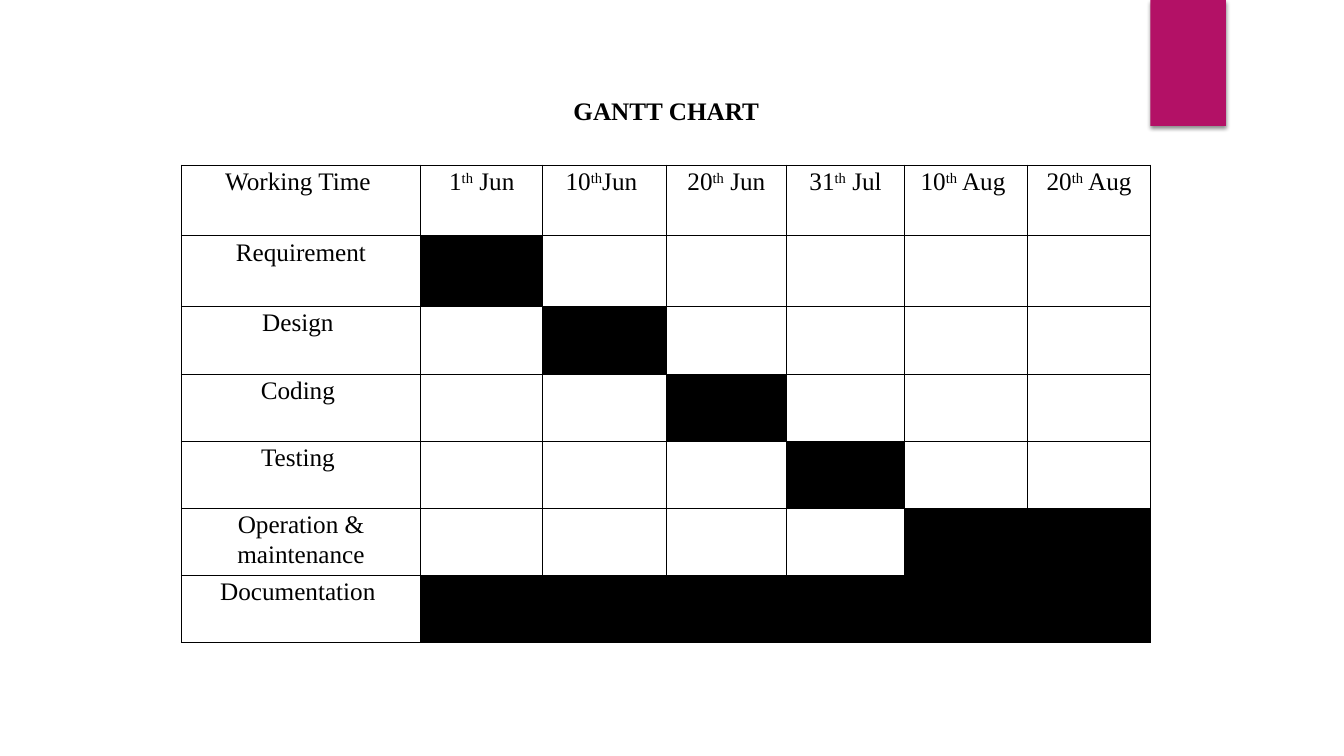
from lxml import etree
from pptx import Presentation
from pptx.dml.color import RGBColor
from pptx.enum.shapes import MSO_SHAPE
from pptx.enum.text import PP_ALIGN
from pptx.oxml.ns import qn
from pptx.util import Pt

RECTANGLE = MSO_SHAPE.RECTANGLE
CENTER = PP_ALIGN.CENTER

BLACK = RGBColor(0x00, 0x00, 0x00)
WHITE = RGBColor(0xFF, 0xFF, 0xFF)
MAGENTA = RGBColor(0xB3, 0x11, 0x66)

FONT = "Times New Roman"
FONT_SIZE = Pt(18)

COLUMN_WIDTHS = [170.9, 87.3, 88.2, 85.9, 84.4, 87.8, 87.8]
ROW_HEIGHTS = [50.4, 50.2, 48.6, 47.9, 47.9, 47.9, 47.9]

# Day and month of each date column
DATES = [("1", " Jun"), ("10", "Jun "), ("20", " Jun"),
         ("31", " Jul"), ("10", " Aug "), ("20", " Aug")]

# Phase with its first and last busy date column
PHASES = [
    ("Requirement", 1, 1),
    ("Design ", 2, 2),
    ("Coding ", 3, 3),
    ("Testing ", 4, 4),
    ("Operation & maintenance", 5, 6),
    ("Documentation ", 1, 6),
]


def add_ribbon(slide):
    ribbon = slide.shapes.add_shape(RECTANGLE, Pt(821.7), 0, Pt(54), Pt(90))
    ribbon.fill.solid()
    ribbon.fill.fore_color.rgb = MAGENTA
    ribbon.line.fill.background()
    ribbon.shadow.inherit = False
    effects = ribbon._element.spPr.find(qn("a:effectLst"))
    shadow = etree.SubElement(effects, qn("a:outerShdw"), blurRad=str(Pt(3)),
                              dist=str(Pt(2)), dir="5400000", rotWithShape="0")
    color = etree.SubElement(shadow, qn("a:srgbClr"), val=str(BLACK))
    etree.SubElement(color, qn("a:alpha"), val="45000")


def set_borders(cell, color, bottom_width=1):
    properties = cell._tc.get_or_add_tcPr()
    for index, side in enumerate(("lnL", "lnR", "lnT", "lnB")):
        width = bottom_width if side == "lnB" else 1
        line = etree.Element(qn("a:" + side), w=str(Pt(width)))
        fill = etree.SubElement(line, qn("a:solidFill"))
        etree.SubElement(fill, qn("a:srgbClr"), val=str(color))
        properties.insert(index, line)


def fill_cell(cell, color):
    cell.fill.solid()
    cell.fill.fore_color.rgb = color


def write_cell(cell, parts, bold=False):
    paragraph = cell.text_frame.paragraphs[0]
    paragraph.alignment = CENTER
    for part in parts:
        run = paragraph.add_run()
        run.text = part
        run.font.name = FONT
        run.font.size = FONT_SIZE
        run.font.bold = bold
        run.font.color.rgb = BLACK
        if part == "th":
            run._r.get_or_add_rPr().set("baseline", "30000")


def write_label(cell, parts):
    cell.margin_left = cell.margin_right = Pt(5)
    cell.margin_top = Pt(0.7)
    cell.margin_bottom = 0
    write_cell(cell, parts)
    cell.text_frame.paragraphs[0].line_spacing = 1.07


def add_plain_table(slide, left, top, widths, heights):
    table = slide.shapes.add_table(len(heights), len(widths), Pt(left), Pt(top),
                                   Pt(sum(widths)), Pt(sum(heights))).table
    table.first_row = False
    table.horz_banding = False
    for column, width in zip(table.columns, widths):
        column.width = Pt(width)
    for row, height in zip(table.rows, heights):
        row.height = Pt(height)
    return table


def add_title(slide):
    title = add_plain_table(slide, 230.4, 66.2, [491], [41.8]).cell(0, 0)
    fill_cell(title, WHITE)
    set_borders(title, WHITE, bottom_width=3)
    write_cell(title, ["GANTT CHART"], bold=True)


def add_schedule(slide):
    schedule = add_plain_table(slide, 129.6, 118.1, COLUMN_WIDTHS, ROW_HEIGHTS)
    for cell in schedule.iter_cells():
        cell.fill.background()
        set_borders(cell, BLACK)

    # Header row
    write_label(schedule.cell(0, 0), ["Working Time "])
    for column, (day, month) in enumerate(DATES, start=1):
        write_label(schedule.cell(0, column), [day, "th", month])

    # Phases and their bars
    for row, (phase, first, last) in enumerate(PHASES, start=1):
        write_label(schedule.cell(row, 0), [phase])
        for column in range(first, last + 1):
            fill_cell(schedule.cell(row, column), BLACK)


def main():
    presentation = Presentation()
    presentation.slide_width = Pt(960)
    presentation.slide_height = Pt(540)
    slide = presentation.slides.add_slide(presentation.slide_layouts[6])
    add_ribbon(slide)
    add_title(slide)
    add_schedule(slide)
    presentation.save("out.pptx")


if __name__ == "__main__":
    main()
